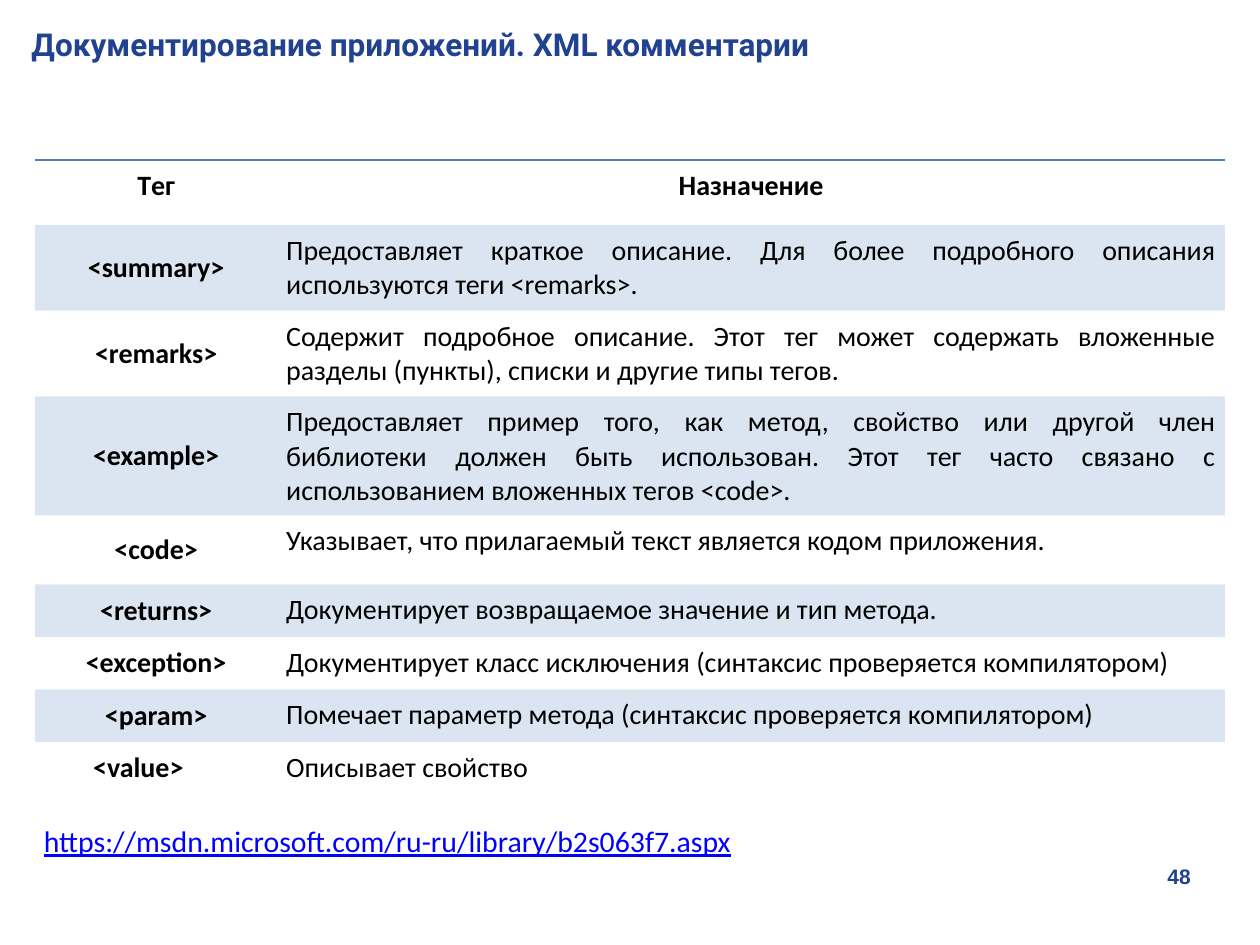
import pptx
import pptx.dml.color
import pptx.enum.text
import pptx.oxml
import pptx.oxml.ns
import pptx.util
from lxml import etree

Pt = pptx.util.Pt
Align = pptx.enum.text.PP_ALIGN
Anchor = pptx.enum.text.MSO_ANCHOR

NAVY, BLUE, LINK, BLACK = "21438F", "4F81BD", "0000FF", "000000"
PLAIN_TABLE_STYLE = "{2D5ABB26-0587-4C30-8999-92F81FD0307C}"

HEADER = ("Tег", "Назначение")
# Tag, purpose, row height, alignment of the purpose
TAGS = [
    ("<summary>", "Предоставляет краткое описание. Для более подробного описания "
     "используются теги <remarks>.", 49, Align.JUSTIFY),
    ("<remarks>", "Содержит подробное описание. Этот тег может содержать вложенные "
     "разделы (пункты), списки и другие типы тегов.", 49, Align.JUSTIFY),
    ("<example>", "Предоставляет пример того, как метод, свойство или другой член "
     "библиотеки должен быть использован. Этот тег часто связано с "
     "использованием вложенных тегов <code>.", 68, Align.JUSTIFY),
    ("<code>", "Указывает, что прилагаемый текст является кодом приложения.",
     39.5, Align.JUSTIFY),
    ("<returns>", "Документирует возвращаемое значение и тип метода.",
     30, Align.JUSTIFY),
    ("<exception>", "Документирует класс исключения (синтаксис проверяется "
     "компилятором)", 30, Align.LEFT),
    ("<param>", "Помечает параметр метода (синтаксис проверяется компилятором)",
     30, Align.LEFT),
    ("<value>\t", "Описывает свойство", 30, Align.LEFT),
]


def color(value):
    return pptx.dml.color.RGBColor.from_string(value)


class SlideWriter:
    def __init__(self, page):
        self.page = page

    def style(self, para, font, size, ink, bold=False, align=Align.LEFT):
        para.alignment = align
        para.font.name = font
        para.font.size = Pt(size)
        para.font.bold = bold
        para.font.color.rgb = color(ink)

    def set_margins(self, target, margin):
        target.margin_left = target.margin_right = Pt(margin)
        target.margin_top = target.margin_bottom = Pt(margin)

    def text(self, words, place, font, size, ink, margin=3.6, wrap=True,
             anchor=Anchor.TOP, **look):
        box = self.page.shapes.add_textbox(*map(Pt, place))
        frame = box.text_frame
        frame.word_wrap = wrap
        frame.vertical_anchor = anchor
        self.set_margins(frame, margin)
        para = frame.paragraphs[0]
        para.text = words
        self.style(para, font, size, ink, **look)
        return para

    def cell(self, cell, words, bold, align, anchor, tinted):
        self.set_margins(cell, 5.1)
        cell.vertical_anchor = anchor
        para = cell.text_frame.paragraphs[0]
        para.text = words
        self.style(para, "Calibri", 16, BLACK, bold, align)
        if tinted:
            cell.fill.solid()
            cell.fill.fore_color.rgb = color(BLUE)
            tint = cell._tc.tcPr.find(".//" + pptx.oxml.ns.qn("a:srgbClr"))
            etree.SubElement(tint, pptx.oxml.ns.qn("a:alpha"), val="20000")
        else:
            cell.fill.background()

    def top_border(self, cell):
        border = pptx.oxml.parse_xml(
            f'<a:lnT {pptx.oxml.ns.nsdecls("a")} w="12700"><a:solidFill>'
            f'<a:srgbClr val="{BLUE}"/></a:solidFill></a:lnT>')
        cell._tc.get_or_add_tcPr().insert(0, border)

    def tag_table(self, left, top, widths, header_height):
        heights = [header_height] + [height for _, _, height, _ in TAGS]
        frame = self.page.shapes.add_table(
            len(heights), len(widths), Pt(left), Pt(top),
            Pt(sum(widths)), Pt(sum(heights)))
        table = frame.table
        table._tbl.tblPr.find(pptx.oxml.ns.qn("a:tableStyleId")).text = PLAIN_TABLE_STYLE
        for column, width in zip(table.columns, widths):
            column.width = Pt(width)
        for row, height in zip(table.rows, heights):
            row.height = Pt(height)
        for column, words in enumerate(HEADER):
            cell = table.cell(0, column)
            self.cell(cell, words, True, Align.CENTER, Anchor.TOP, False)
            self.top_border(cell)
        for row, (tag, purpose, _, align) in enumerate(TAGS, 1):
            tinted = row % 2 == 1
            self.cell(table.cell(row, 0), tag, True, Align.CENTER, Anchor.MIDDLE, tinted)
            self.cell(table.cell(row, 1), purpose, False, align, Anchor.TOP, tinted)


def main():
    deck = pptx.Presentation()
    deck.slide_width, deck.slide_height = Pt(720), Pt(540)
    writer = SlideWriter(deck.slides.add_slide(deck.slide_layouts[6]))

    writer.text("Документирование приложений. XML комментарии", (18, 14.5, 687, 46),
                "Roboto", 18, NAVY, margin=0, bold=True)
    writer.tag_table(20, 91.5, (138.5, 541.5), 37)
    link = writer.text("https://msdn.microsoft.com/ru-ru/library/b2s063f7.aspx",
                       (21.5, 466.5, 401, 28), "Calibri", 17, LINK, wrap=False)
    link.font.underline = True
    writer.text("48", (516, 486, 168, 29), "Arial", 12, NAVY,
                anchor=Anchor.MIDDLE, bold=True, align=Align.RIGHT)

    deck.save("out.pptx")


if __name__ == "__main__":
    main()
